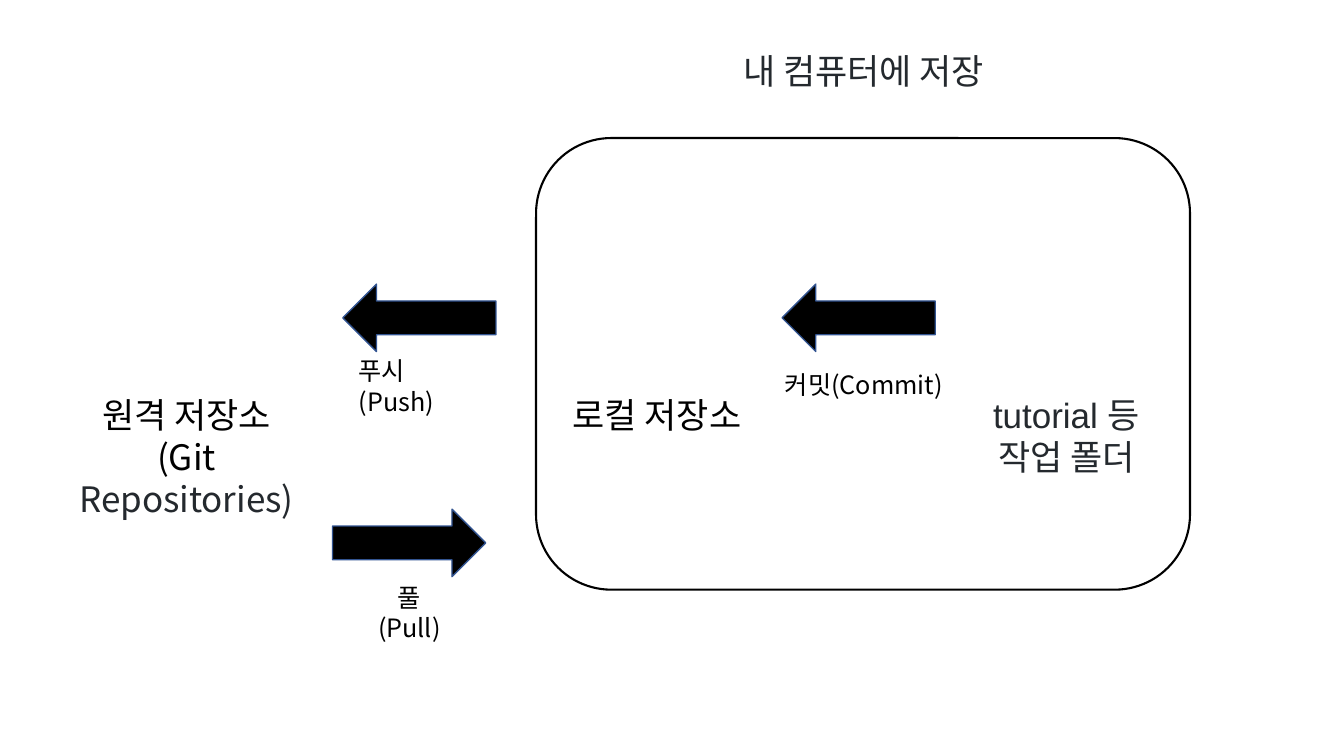
from pptx import Presentation
from pptx.dml.color import RGBColor
from pptx.enum.shapes import MSO_SHAPE
from pptx.enum.text import MSO_AUTO_SIZE, PP_ALIGN
from pptx.util import Cm, Pt

COLORS = {"black": "000000", "ink": "24292E", "arrow_edge": "325491"}
KOREAN = "Noto Sans CJK KR"
LATIN = "Arial"


def rgb(name):
    return RGBColor.from_string(COLORS[name])


def add_text(shapes, box, lines, size=25, font=KOREAN, align=PP_ALIGN.CENTER):
    """Each line is a list of (text, colour name) runs."""
    frame = shapes.add_textbox(*map(Cm, box)).text_frame
    frame.word_wrap = False
    frame.auto_size = MSO_AUTO_SIZE.SHAPE_TO_FIT_TEXT
    for index, line in enumerate(lines):
        paragraph = frame.add_paragraph() if index else frame.paragraphs[0]
        paragraph.alignment = align
        for text, color in line:
            run = paragraph.add_run()
            run.text = text
            run.font.size = Pt(size)
            run.font.name = font
            run.font.color.rgb = rgb(color)


def add_outline(shapes, box):
    outline = shapes.add_shape(MSO_SHAPE.ROUNDED_RECTANGLE, *map(Cm, box))
    outline.shadow.inherit = False
    outline.fill.background()
    outline.line.color.rgb = rgb("black")
    outline.line.width = Pt(1.5)


def add_step(shapes, arrow_at, label_box, label, rotation=0, align=PP_ALIGN.LEFT):
    """Group a block arrow with the name of its Git command."""
    step = shapes.add_group_shape().shapes
    arrow = step.add_shape(MSO_SHAPE.LEFT_ARROW, *map(Cm, arrow_at), Cm(3.86), Cm(1.7))
    arrow.rotation = rotation
    arrow.shadow.inherit = False
    arrow.fill.solid()
    arrow.fill.fore_color.rgb = rgb("black")
    arrow.line.color.rgb = rgb("arrow_edge")
    arrow.line.width = Pt(1)
    add_text(step, label_box, [[(label, "black")]], size=18, align=align)


def main():
    presentation = Presentation()
    presentation.slide_width = Cm(33.87)
    presentation.slide_height = Cm(19.05)
    shapes = presentation.slides.add_slide(presentation.slide_layouts[6]).shapes

    add_outline(shapes, (13.51, 3.48, 16.48, 11.38))
    add_text(shapes, (0.99, 9.8, 7.42, 2.39),
             [[("원격 저장소", "black")], [("(Git ", "black"), ("Repositories)", "ink")]])
    add_text(shapes, (13.92, 9.78, 5.28, 1.32), [[("로컬 저장소", "black")]])
    add_text(shapes, (24.74, 9.78, 4.27, 2.39),
             [[("tutorial 등", "ink")], [("작업 폴더", "ink")]], font=LATIN)
    add_text(shapes, (18.19, 1.12, 7.14, 1.32), [[("내 컴퓨터에 저장", "ink")]], font=LATIN)

    add_step(shapes, (19.71, 7.16), (19.53, 9.17, 4.5, 1.02), "커밋(Commit)")
    add_step(shapes, (8.64, 7.16), (8.79, 8.84, 3.56, 1.02), "푸시(Push)")
    add_step(shapes, (8.38, 12.83), (9.02, 14.55, 2.59, 1.02), "풀(Pull)",
             rotation=180, align=PP_ALIGN.CENTER)

    presentation.save("out.pptx")


if __name__ == "__main__":
    main()
